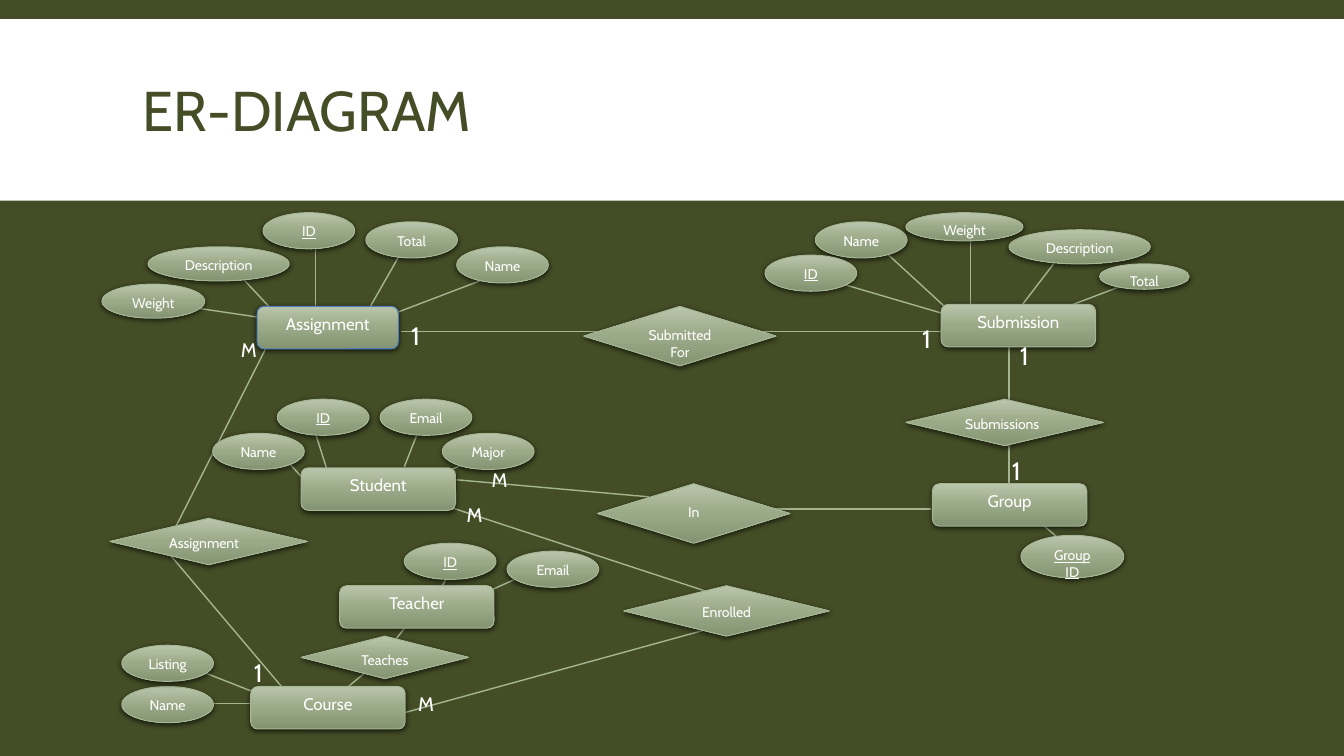
from pptx import Presentation
from pptx.dml.color import RGBColor
from pptx.enum.shapes import MSO_CONNECTOR as Link, MSO_SHAPE as Form
from pptx.enum.text import MSO_ANCHOR as Anchor, PP_ALIGN as Align
from pptx.oxml import parse_xml
from pptx.util import Cm, Pt

INK = {"olive": "444D26", "white": "FFFFFF", "sage": "A5B592", "blue": "4F81BD",
       "light": "BAC6AC", "mid": "9AA987", "dark": "849472", "black": "000000"}
NS = 'xmlns:a="http://schemas.openxmlformats.org/drawingml/2006/main"'
GRAD = (f'<a:gradFill {NS} rotWithShape="1"><a:gsLst>'
        + "".join(f'<a:gs pos="{pos}"><a:srgbClr val="{INK[tone]}"/></a:gs>'
                  for pos, tone in ((0, "light"), (50000, "mid"), (100000, "dark")))
        + '</a:gsLst><a:lin ang="5400000" scaled="0"/></a:gradFill>')
SHADE = (f'<a:effectLst {NS}><a:outerShdw blurRad="{Pt(4)}" dist="{Pt(1.2)}" '
         f'dir="5400000" algn="ctr" rotWithShape="0"><a:srgbClr val="{INK["black"]}">'
         '<a:alpha val="68000"/></a:srgbClr></a:outerShdw></a:effectLst>')


def write(shape, text, size, tone="white", align=Align.LEFT, anchor=Anchor.TOP):
    """Put one styled paragraph into a shape and return it."""
    frame = shape.text_frame
    frame.word_wrap = True
    frame.vertical_anchor = anchor
    para = frame.paragraphs[0]
    para.text = text
    para.alignment = align
    para.font.name = "Cabin"
    para.font.size = Pt(size)
    para.font.color.rgb = RGBColor.from_string(INK[tone])
    return para


def node(form, text, size, box, edge="sage", align=Align.CENTER):
    """Draw one shaded diagram node; keys ending in ID are underlined."""
    shape = slide.shapes.add_shape(form, *map(Cm, box))
    shape.line.color.rgb = RGBColor.from_string(INK[edge])
    shape.line.width = Pt(0.75)
    props = shape.element.spPr
    props.insert(2, parse_xml(GRAD))
    props.append(parse_xml(SHADE))
    para = write(shape, text, size, align=align)
    if text.endswith("ID"):
        para.font.underline = True


deck = Presentation()
deck.slide_width, deck.slide_height = Cm(33.87), Cm(19.05)
slide = deck.slides.add_slide(deck.slide_layouts[6])
back = slide.background.fill
back.solid()
back.fore_color.rgb = RGBColor.from_string(INK["olive"])

# Title band
band = slide.shapes.add_shape(Form.RECTANGLE, 0, Cm(0.48), deck.slide_width, Cm(4.58))
band.shadow.inherit = False
band.fill.solid()
band.fill.fore_color.rgb = RGBColor.from_string(INK["white"])
band.line.fill.background()
title = slide.shapes.add_textbox(Cm(3.35), Cm(0.79), Cm(27.18), Cm(4.19))
write(title, "ER-DIAGRAM", 40, "olive", anchor=Anchor.MIDDLE).line_spacing = 0.85

# Links between nodes: x1, y1, x2, y2
links = [
    # Assignment
    (9.88, 7.92, 12.14, 7.06), (9.22, 7.92, 10.19, 6.22), (7.95, 6.22, 7.95, 7.92),
    (5.97, 6.86, 6.96, 7.92), (4.67, 7.72, 7.57, 8.15), (10.11, 8.36, 15.29, 8.36),
    (6.91, 8.36, 4.32, 13.49), (4.04, 13.69, 7.29, 17.53),
    # Submission
    (23.83, 7.92, 20.9, 7.06), (23.8, 7.72, 22.17, 6.22), (24.46, 7.72, 24.46, 6.02),
    (25.73, 7.72, 26.72, 6.43), (26.39, 7.92, 28.65, 7.06), (18.85, 8.36, 24.03, 8.36),
    (25.43, 10.26, 25.43, 8.56),
    # Group
    (25.43, 12.62, 25.43, 10.92), (26.09, 13.06, 27.05, 13.89), (18.92, 12.83, 23.47, 12.83),
    # Student
    (7.95, 12.4, 6.99, 11.35), (8.28, 11.96, 7.95, 10.92), (10.19, 11.76, 10.52, 10.92),
    (10.54, 12.19, 12.5, 11.35), (11.51, 12.09, 16.36, 12.52), (10.85, 12.62, 17.98, 14.96),
    # Teacher
    (11.48, 14.12, 11.15, 14.76), (13.13, 14.53, 12.17, 14.96), (10.54, 15.39, 9.88, 16.23),
    # Course
    (5, 16.89, 6.63, 17.53), (5, 17.73, 6.96, 17.73), (9.55, 16.66, 8.26, 17.73),
    (10.19, 17.96, 17.96, 15.82),
]
for ends in links:
    link = slide.shapes.add_connector(Link.STRAIGHT, *map(Cm, ends))
    link.line.color.rgb = RGBColor.from_string(INK["sage"])
    link.line.width = Pt(1)
    link.element.spPr.append(parse_xml(f"<a:effectLst {NS}/>"))

# Entities
node(Form.ROUNDED_RECTANGLE, "Assignment", 12, (6.48, 7.72, 3.56, 1.07), "blue")
for name, x, y in [("Group", 23.5, 12.19), ("Course", 6.32, 17.3), ("Student", 7.59, 11.79),
                   ("Submission", 23.72, 7.67), ("Teacher", 8.56, 14.76)]:
    node(Form.ROUNDED_RECTANGLE, name, 12, (x, y, 3.89, 1.07))

# Relations
for name, *box in [("Submitted For", 14.71, 7.72, 4.85, 1.5), ("In", 15.06, 12.19, 4.85, 1.5),
                   ("Assignment", 2.77, 13.06, 4.98, 1.17),
                   ("Submissions", 22.83, 10.06, 4.98, 1.17),
                   ("Teaches", 7.59, 16.03, 4.22, 1.07), ("Enrolled", 15.72, 14.76, 5.18, 1.27)]:
    side = Align.LEFT if name in ("Assignment", "Submissions") else Align.CENTER
    node(Form.DIAMOND, name, 10, box, align=side)

# Attributes of the common size
for name, x, y in [("Name", 20.55, 5.59), ("ID", 19.28, 6.43), ("Name", 11.51, 6.22),
                   ("Total", 9.22, 5.59), ("ID", 6.63, 5.36), ("ID", 6.99, 10.06),
                   ("Major", 11.15, 10.92), ("Email", 9.58, 10.06), ("ID", 10.19, 13.69),
                   ("Name", 3.07, 17.3), ("Listing", 3.07, 16.26), ("Name", 5.36, 10.92),
                   ("Email", 12.78, 13.89)]:
    node(Form.OVAL, name, 10, (x, y, 2.31, 0.91))

# Attributes with a size of their own
for name, *box in [("Description", 25.43, 5.79, 3.56, 0.86), ("Weight", 22.83, 5.36, 2.95, 0.71),
                   ("Total", 27.71, 6.65, 2.26, 0.64), ("Weight", 2.57, 7.16, 2.59, 0.86),
                   ("Description", 3.73, 6.22, 3.56, 0.86), ("Group ID", 25.73, 13.49, 2.59, 1.07)]:
    node(Form.OVAL, name, 10, box)

# Cardinalities: sign, size, width, height, places
for sign, size, wide, high, spots in [
        ("1", 18, 0.74, 1.02, [(22.99, 8.03), (10.11, 7.95), (6.15, 16.43),
                               (25.45, 8.46), (25.25, 11.35)]),
        ("M", 14, 1.37, 0.86, [(11.51, 12.55), (12.14, 11.66), (10.29, 17.3), (5.82, 8.38)])]:
    for x, y in spots:
        write(slide.shapes.add_textbox(Cm(x), Cm(y), Cm(wide), Cm(high)), sign, size)

deck.save("out.pptx")
